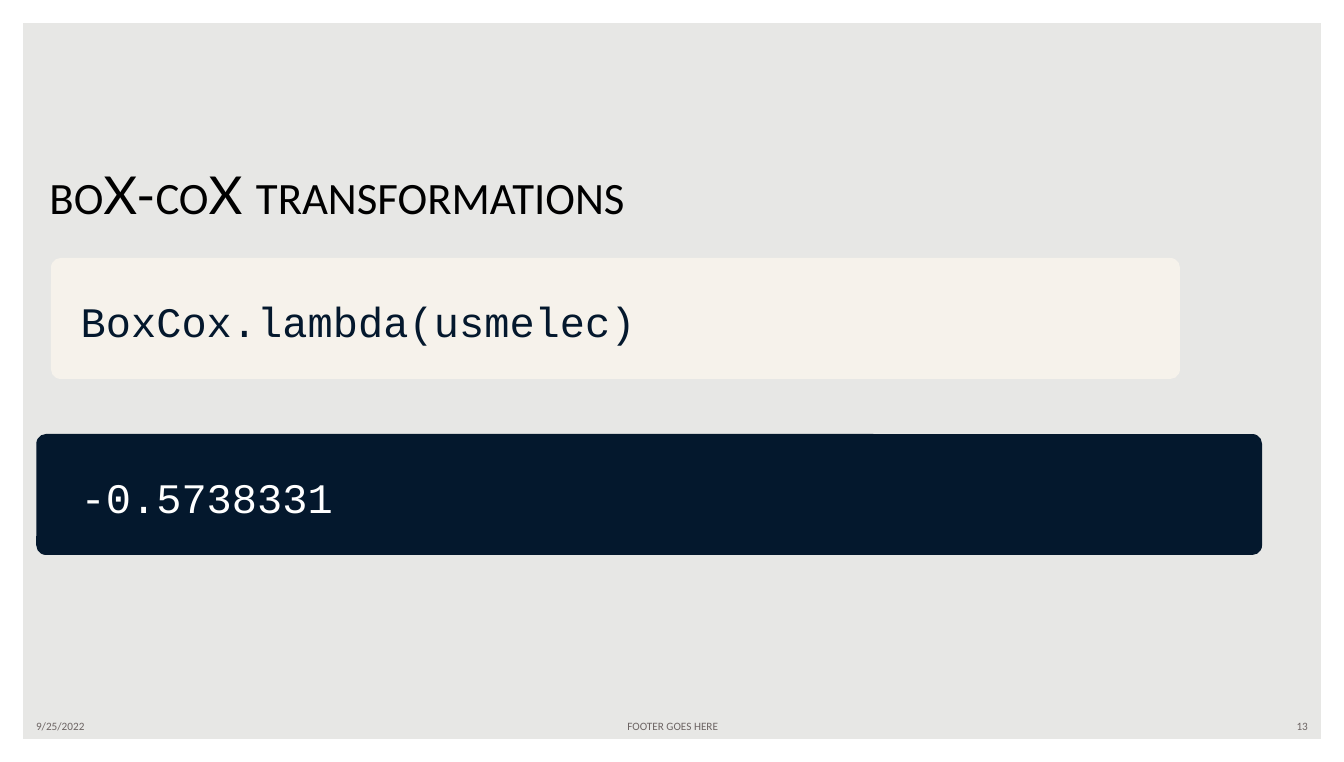
import dataclasses

import pptx
import pptx.dml.color
import pptx.enum.shapes
import pptx.enum.text
import pptx.util

Inches = pptx.util.Inches
Shape = pptx.enum.shapes.MSO_SHAPE
Align = pptx.enum.text.PP_ALIGN
Anchor = pptx.enum.text.MSO_ANCHOR


def color(code):
    return pptx.dml.color.RGBColor.from_string(code)


@dataclasses.dataclass(frozen=True)
class Theme:
    back: str = "E7E7E5"
    white: str = "FFFFFF"
    black: str = "000000"
    navy: str = "04182D"
    cream: str = "F6F2EB"
    gray: str = "6C6463"
    body: str = "Calibri"
    accent: str = "Lato"
    mono: str = "Courier New"
    small: float = 6
    code: float = 22.5
    title: float = 24
    large: float = 28


class Deck:
    def __init__(self, theme):
        self.theme = theme
        self.file = pptx.Presentation()
        self.file.slide_width = Inches(10)
        self.file.slide_height = Inches(5.67)
        self.slide = self.file.slides.add_slide(self.file.slide_layouts[6])
        fill = self.slide.background.fill
        fill.solid()
        fill.fore_color.rgb = color(theme.back)

    def shape(self, kind, box, fill, adjust):
        item = self.slide.shapes.add_shape(kind, *map(Inches, box))
        item.shadow.inherit = False
        item.adjustments[0] = adjust
        item.fill.solid()
        item.fill.fore_color.rgb = color(fill)
        item.line.fill.background()

    def text(self, box, runs, ink, align=Align.LEFT, anchor=Anchor.MIDDLE):
        """Add a one-line text box; runs are (words, font, size)."""
        frame = self.slide.shapes.add_textbox(*map(Inches, box)).text_frame
        frame.word_wrap = True
        frame.vertical_anchor = anchor
        line = frame.paragraphs[0]
        line.alignment = align
        for words, font, size in runs:
            run = line.add_run()
            run.text = words
            run.font.name = font
            run.font.size = pptx.util.Pt(size)
            run.font.color.rgb = color(ink)
        return frame

    def title(self, box, parts):
        """Add the title; every second part is in the accent font."""
        look = self.theme
        styles = [(look.body, look.title), (look.accent, look.large)]
        runs = [(part, *styles[i % 2]) for i, part in enumerate(parts)]
        self.text(box, runs, look.black, anchor=Anchor.BOTTOM)

    def footer(self, left, width, words, align):
        look = self.theme
        self.text((left, 5.3, width, 0.2), [(words, look.body, look.small)],
                  look.gray, align)

    def panel(self, left, top, width, fill, ink, words):
        """Add a rounded panel with a line of code in it."""
        look = self.theme
        self.shape(Shape.ROUNDED_RECTANGLE, (left, top, width, 0.9), fill, 0.08)
        frame = self.text((0.59, top + 0.25, 4.3, 0.4),
                          [(words, look.mono, look.code)], ink)
        frame.margin_left = frame.margin_right = Inches(0.01)
        frame.margin_top = Inches(0.03)
        frame.margin_bottom = 0


def main():
    look = Theme()
    deck = Deck(look)
    deck.shape(Shape.FRAME, (0, 0, 10, 5.67), look.white, 0.03)
    deck.footer(0.17, 2.33, "9/25/2022", Align.LEFT)
    deck.footer(3.42, 3.17, "FOOTER GOES HERE", Align.CENTER)
    deck.footer(7.5, 2.33, "13", Align.RIGHT)
    deck.title((0.27, 1.15, 8.5, 0.57),
               ["BO", "X-", "CO", "X ", "TRANSFORMATIONS"])
    deck.panel(0.27, 3.23, 9.12, look.navy, look.white, "-0.5738331")
    deck.panel(0.38, 1.92, 8.4, look.cream, look.navy, "BoxCox.lambda(usmelec)")
    deck.file.save("out.pptx")


if __name__ == "__main__":
    main()
